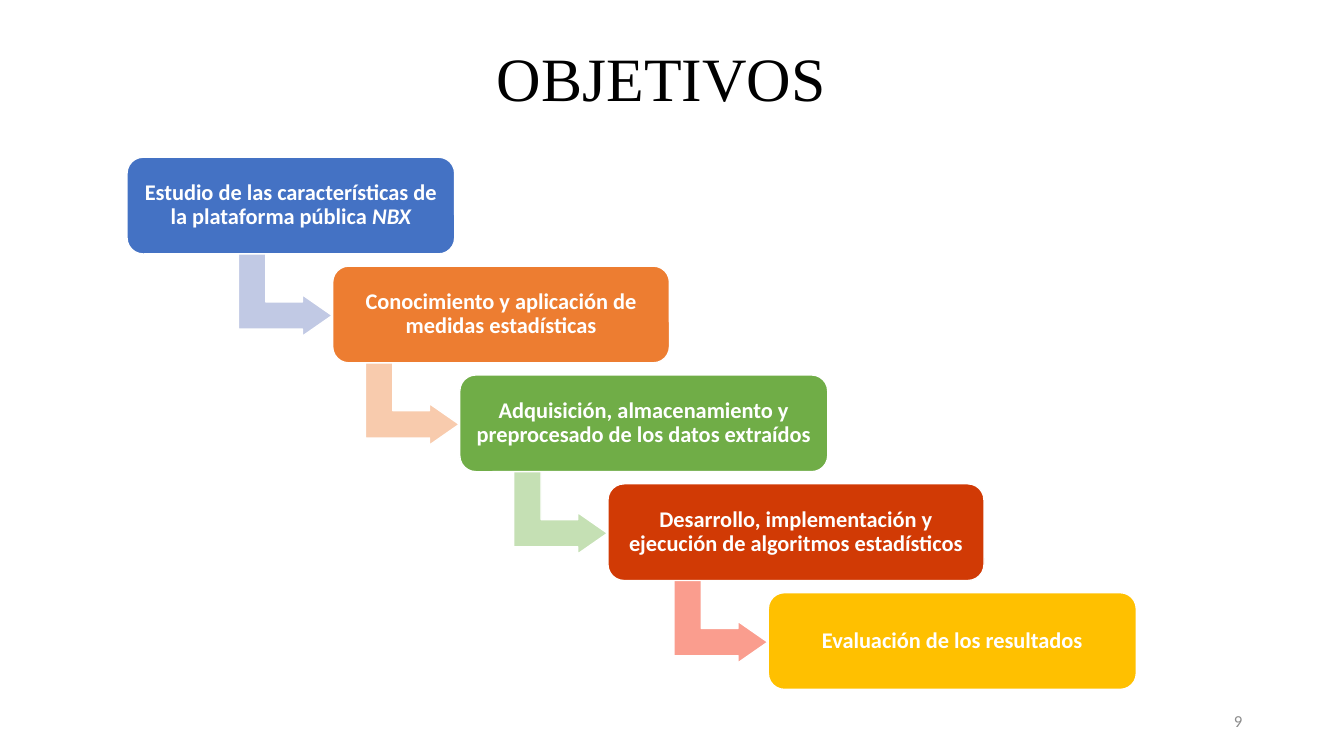
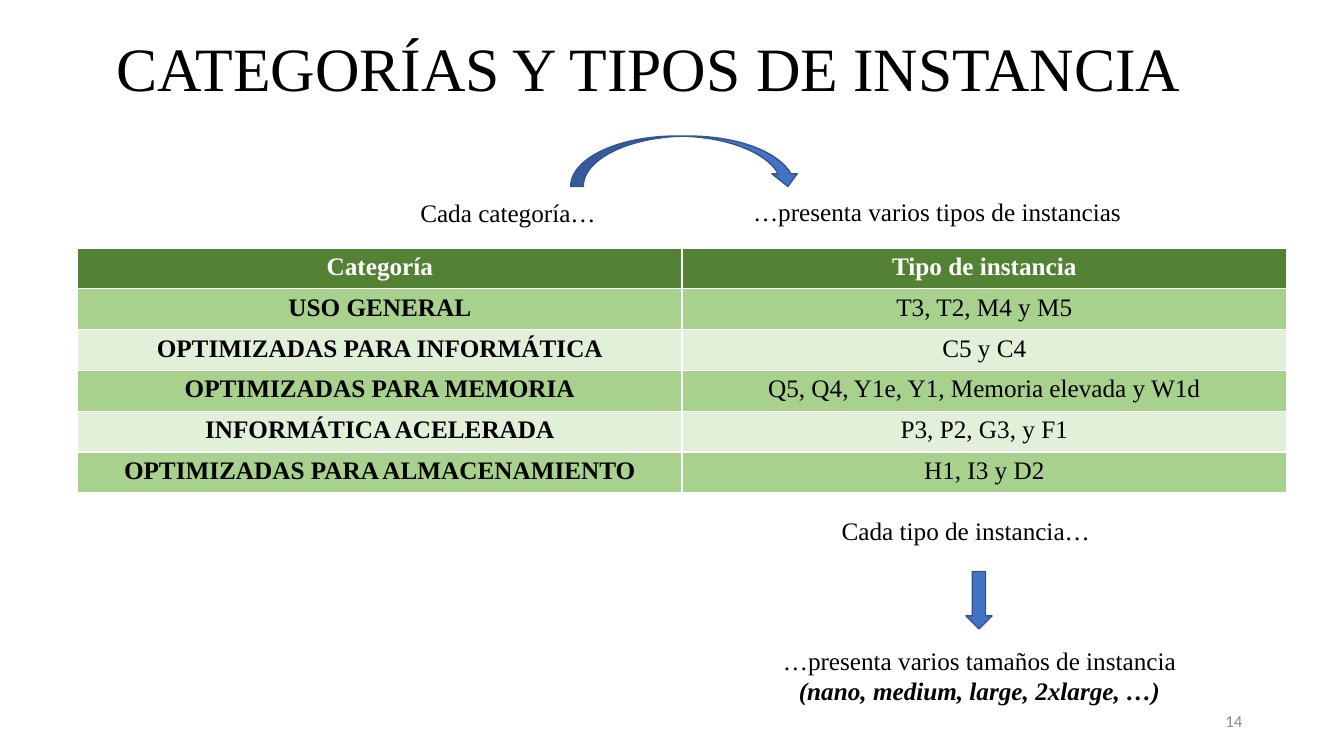
from pptx import Presentation
from pptx.dml.color import RGBColor
from pptx.enum.shapes import MSO_SHAPE
from pptx.enum.text import MSO_ANCHOR, PP_ALIGN
from pptx.util import Pt

PX = 9144  # EMU per px, 100 px to the inch

THEME = {
    "serif": "Times New Roman", "sans": "Calibri",
    "title": 44, "body": 18, "step": 16, "number": 12,
    "black": "000000", "white": "FFFFFF", "gray": "8C8C8C",
    "blue": "4472C4", "outline": "325491",
    "header": "548235", "bands": ("A9D18E", "E2F0D9"),
}


def font(size, color, face="serif", **extra):
    return {"size": Pt(THEME[size]), "name": THEME[face], "color": THEME[color], **extra}


TITLE = font("title", "black")
BODY = font("body", "black")
HEADER = font("body", "white", bold=True)
STEP = font("step", "white", "sans", bold=True)
NUMBER = font("number", "gray", "sans")
BOLD = {"bold": True}
ITALIC = {"italic": True}

# left, width, fill, fill of the arrow to the next step, runs
STEPS = [
    (126, 325, "4472C4", "C1C9E4",
     [("Estudio de las características de la plataforma pública ", {}), ("NBX", ITALIC)]),
    (330, 334, "ED7D31", "F8CBAD",
     [("Conocimiento y aplicación de medidas estadísticas", {})]),
    (456, 365, "70AD47", "C5E0B4",
     [("Adquisición, almacenamiento y preprocesado de los datos extraídos", {})]),
    (603, 373, "D13A05", "FA9D8E",
     [("Desarrollo, implementación y ejecución de algoritmos estadísticos", {})]),
    (762, 365, "FFC000", None, [("Evaluación de los resultados", {})]),
]
STEP_TOP, STEP_PITCH, STEP_H = 156, 108, 96
BEND_W, BEND_H, BEND_BACK, BEND_DROP = 82, 93, 88, 90
BEND_ADJ = (0.33, 0.25, 0.36)

INSTANCES = [
    ("Categoría", "Tipo de instancia"),
    ("USO GENERAL", "T3, T2, M4 y M5"),
    ("OPTIMIZADAS PARA INFORMÁTICA", "C5 y C4"),
    ("OPTIMIZADAS PARA MEMORIA", "Q5, Q4, Y1e, Y1, Memoria elevada y W1d"),
    ("INFORMÁTICA ACELERADA", "P3, P2, G3, y F1"),
    ("OPTIMIZADAS PARA ALMACENAMIENTO", "H1, I3 y D2"),
]
TABLE_BOX = (77, 246, 1199, 243)

CAPTIONS = [
    ((407, 191, 197, 40), PP_ALIGN.LEFT, [("Cada categoría…", {})]),
    ((737, 190, 388, 40), PP_ALIGN.LEFT, [("…presenta varios tipos de instancias", {})]),
    ((825, 506, 300, 40), PP_ALIGN.LEFT, [("Cada tipo de instancia…", {})]),
    ((763, 635, 417, 71), PP_ALIGN.CENTER,
     [("…presenta varios tamaños de instancia ", {}),
      ("(nano, medium, large, 2xlarge, …)", {**BOLD, **ITALIC})]),
]
ARROWS = [
    (MSO_SHAPE.CURVED_DOWN_ARROW, (566, 135, 228, 50)),
    (MSO_SHAPE.DOWN_ARROW, (958, 567, 26, 57)),
]


def emu(box):
    return [v * PX for v in box]


def write(tf, runs, style, align=PP_ALIGN.CENTER, spacing=None):
    """Fill the first paragraph; each run adds its own format to the style."""
    p = tf.paragraphs[0]
    p.alignment, p.line_spacing = align, spacing
    for text, extra in runs:
        r = p.add_run()
        r.text = text
        for key, value in {**style, **extra}.items():
            if key == "color":
                r.font.color.rgb = RGBColor.from_string(value)
            else:
                setattr(r.font, key, value)


def add_text(s, box, runs, style, align=PP_ALIGN.CENTER, anchor=MSO_ANCHOR.TOP, spacing=None):
    tf = s.shapes.add_textbox(*emu(box)).text_frame
    tf.word_wrap, tf.vertical_anchor = True, anchor
    write(tf, runs, style, align, spacing)


def add_block(s, kind, box, fill, line):
    sp = s.shapes.add_shape(kind, *emu(box))
    sp.shadow.inherit = False
    sp.fill.solid()
    sp.fill.fore_color.rgb = RGBColor.from_string(fill)
    sp.line.color.rgb = RGBColor.from_string(line)
    sp.line.width = Pt(1)
    return sp


def add_slide(prs, title, box, anchor, number):
    s = prs.slides.add_slide(prs.slide_layouts[6])
    add_text(s, box, [(title, {})], TITLE, anchor=anchor, spacing=0.9)
    add_text(s, (942, 695, 300, 40), [(number, {})], NUMBER, PP_ALIGN.RIGHT, MSO_ANCHOR.MIDDLE)
    return s


def add_steps(s):
    for i, (left, width, fill, bend_fill, runs) in enumerate(STEPS):
        top = STEP_TOP + i * STEP_PITCH
        if bend_fill:
            next_left = STEPS[i + 1][0]
            bend = add_block(s, MSO_SHAPE.BENT_UP_ARROW,
                             (next_left - BEND_BACK, top + BEND_DROP, BEND_W, BEND_H),
                             bend_fill, THEME["white"])
            bend.rotation = 90
            for k, value in enumerate(BEND_ADJ):
                bend.adjustments[k] = value
        sp = add_block(s, MSO_SHAPE.ROUNDED_RECTANGLE, (left, top, width, STEP_H),
                       fill, THEME["white"])
        tf = sp.text_frame
        tf.word_wrap, tf.vertical_anchor = True, MSO_ANCHOR.MIDDLE
        for side in ("left", "top", "right", "bottom"):
            setattr(tf, f"margin_{side}", 7 * PX)
        write(tf, runs, STEP, spacing=0.9)


def add_instances(s):
    rows, cols = len(INSTANCES), len(INSTANCES[0])
    table = s.shapes.add_table(rows, cols, *emu(TABLE_BOX)).table
    for i, row in enumerate(INSTANCES):
        fill = THEME["bands"][(i - 1) % 2] if i else THEME["header"]
        for j, text in enumerate(row):
            cell = table.cell(i, j)
            cell.fill.solid()
            cell.fill.fore_color.rgb = RGBColor.from_string(fill)
            style = {**BODY, "bold": j == 0} if i else HEADER
            write(cell.text_frame, [(text, {})], style)


def main():
    prs = Presentation()
    prs.slide_width, prs.slide_height = emu((1333, 750))

    s = add_slide(prs, "OBJETIVOS", (81, 8, 1150, 145), MSO_ANCHOR.MIDDLE, "9")
    add_steps(s)

    s = add_slide(prs, "CATEGORÍAS Y TIPOS DE INSTANCIA", (69, 32, 1150, 77),
                  MSO_ANCHOR.BOTTOM, "14")
    add_instances(s)
    for kind, box in ARROWS:
        add_block(s, kind, box, THEME["blue"], THEME["outline"])
    for box, align, runs in CAPTIONS:
        add_text(s, box, runs, BODY, align)

    prs.save("out.pptx")


if __name__ == "__main__":
    main()
